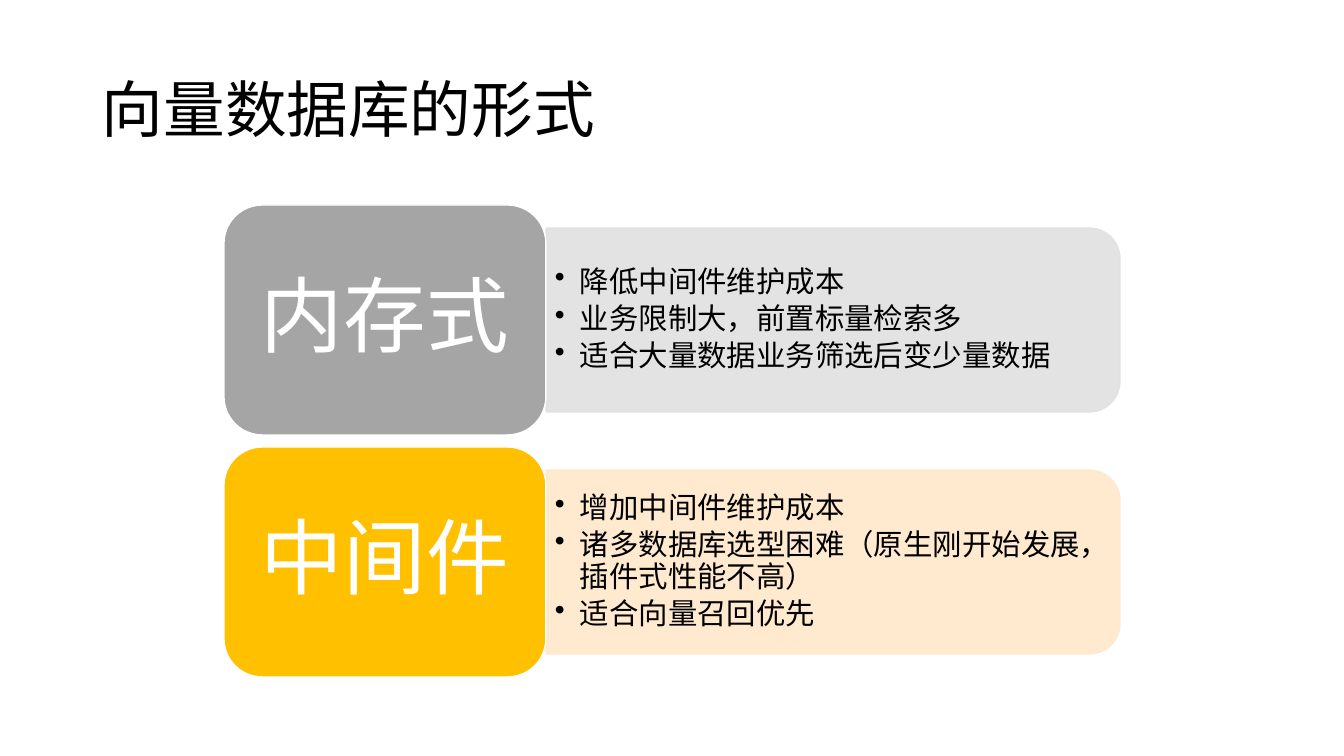
from lxml import etree
from pptx import Presentation
from pptx.dml.color import RGBColor
from pptx.enum.shapes import MSO_SHAPE
from pptx.enum.text import MSO_ANCHOR, PP_ALIGN
from pptx.oxml.ns import qn
from pptx.util import Pt

ROUND, ROUND_TOP = MSO_SHAPE.ROUNDED_RECTANGLE, MSO_SHAPE.ROUND_2_SAME_RECTANGLE
MIDDLE = MSO_ANCHOR.MIDDLE
LEFT, CENTER = PP_ALIGN.LEFT, PP_ALIGN.CENTER
FONT = "Noto Sans CJK SC"

TITLE = "向量数据库的形式"
FORMS = [
    ("内存式", "A5A5A5", "E1E1E1",
     ["降低中间件维护成本", "业务限制大，前置标量检索多", "适合大量数据业务筛选后变少量数据"]),
    ("中间件", "FFC000", "FFE8CB",
     ["增加中间件维护成本", "诸多数据库选型困难（原生刚开始发展，插件式性能不高）", "适合向量召回优先"]),
]
LABEL_X, LABEL_W, LABEL_H = 224, 322, 230
PANEL_W, PANEL_H = 574, 184
NOTES_W, NOTES_H = 565, 166
TOP, PITCH = 205, 242
INDENT = 25


def px(n):
    return round(n * 914400 / 100.8)


def box(x, y, w, h):
    return [px(n) for n in (x, y, w, h)]


def rgb(value):
    return RGBColor.from_string(value)


def add_block(kind, area, fill, line, opacity=100):
    sp = slide.shapes.add_shape(kind, *box(*area))
    sp.shadow.inherit = False
    sp.fill.solid()
    sp.fill.fore_color.rgb = rgb(fill)
    sp.line.color.rgb = rgb(line)
    sp.line.width = Pt(1)
    if opacity < 100:
        for color in sp._element.spPr.iter(qn("a:srgbClr")):
            etree.SubElement(color, qn("a:alpha"), val=str(opacity * 1000))
    return sp


def set_text(tf, lines, size, color, align=LEFT, insets=(9, 4), bulleted=False):
    tf.word_wrap = True
    tf.vertical_anchor = MIDDLE
    tf.margin_left = tf.margin_right = px(insets[0])
    tf.margin_top = tf.margin_bottom = px(insets[1])
    for i, line in enumerate(lines):
        p = tf.add_paragraph() if i else tf.paragraphs[0]
        p.alignment = align
        p.line_spacing = 0.9
        if bulleted:
            p.space_after = Pt(4)
            pPr = p._p.get_or_add_pPr()
            pPr.set("marL", str(px(INDENT)))
            pPr.set("indent", str(-px(INDENT)))
            etree.SubElement(pPr, qn("a:buChar"), char="•")
        r = p.add_run()
        r.text = line
        r.font.size = Pt(size)
        r.font.name = FONT
        r.font.color.rgb = rgb(color)
        etree.SubElement(r._r.get_or_add_rPr(), qn("a:ea"), typeface=FONT)


prs = Presentation()
prs.slide_width, prs.slide_height = px(1344), px(756)
slide = prs.slides.add_slide(prs.slide_layouts[5])

title = slide.shapes.title
title.left, title.top, title.width, title.height = box(92, 40, 1159, 146)
set_text(title.text_frame, [TITLE], 44, "000000", insets=(10, 5))

panel_x = LABEL_X + LABEL_W
for i, (name, strong, pale, notes) in enumerate(FORMS):
    y = TOP + i * PITCH
    mid = y + LABEL_H / 2
    panel = add_block(ROUND_TOP, (panel_x + (PANEL_W - PANEL_H) / 2, mid - PANEL_W / 2,
                                  PANEL_H, PANEL_W), pale, pale, 90)
    panel.rotation = 90
    tb = slide.shapes.add_textbox(*box(panel_x, mid - NOTES_H / 2, NOTES_W, NOTES_H))
    set_text(tb.text_frame, notes, 21, "000000", bulleted=True)
    label = add_block(ROUND, (LABEL_X, y, LABEL_W, LABEL_H), strong, "FFFFFF")
    set_text(label.text_frame, [name], 59, "FFFFFF", CENTER, (25, 12))

prs.save("out.pptx")
